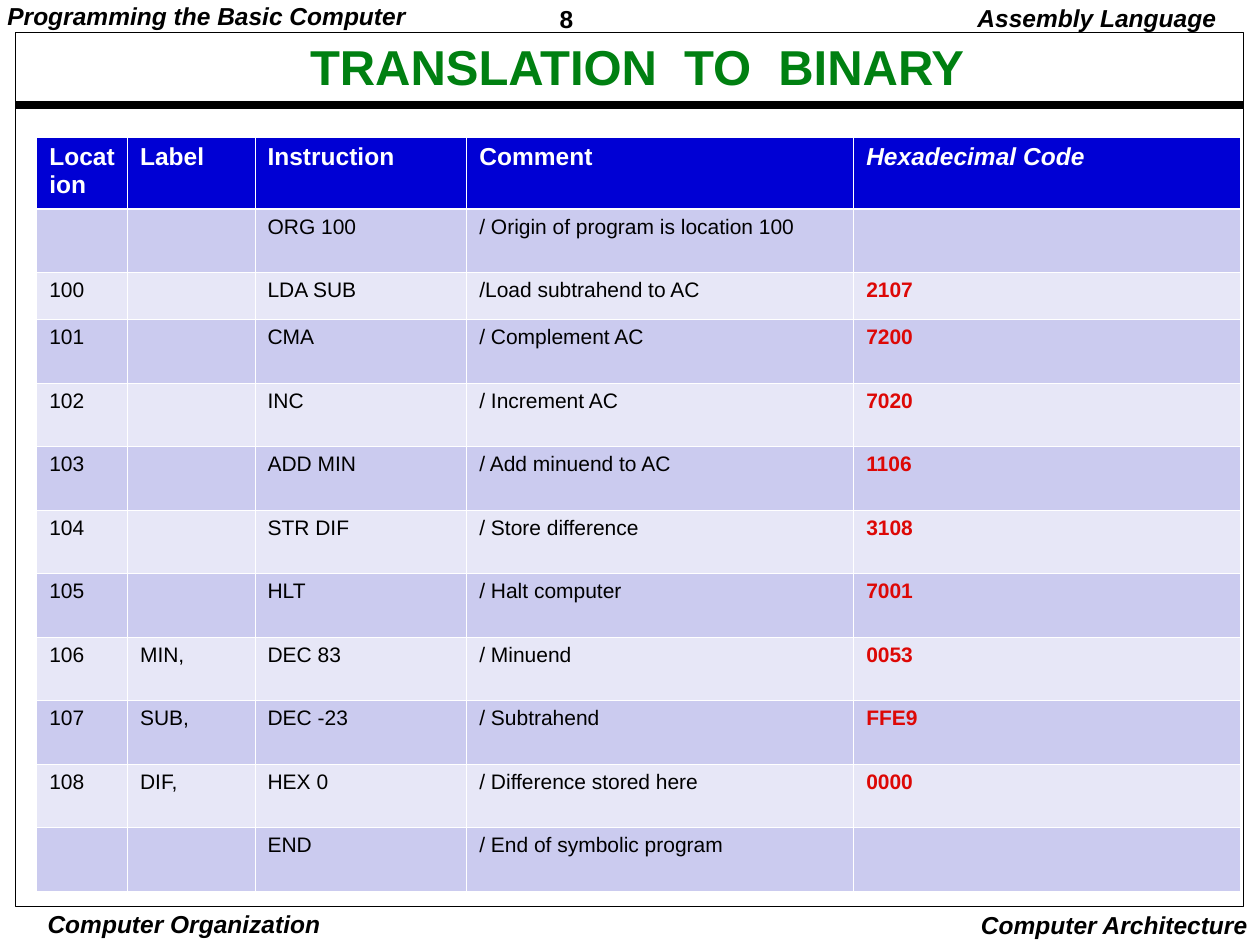
import lxml.etree
import pptx
import pptx.dml.color
import pptx.enum.shapes
import pptx.enum.text
import pptx.oxml.ns
import pptx.util

Cm = pptx.util.Cm
Pt = pptx.util.Pt
RGBColor = pptx.dml.color.RGBColor
ALIGN = pptx.enum.text.PP_ALIGN
ANCHOR = pptx.enum.text.MSO_ANCHOR
qn = pptx.oxml.ns.qn

BLACK = RGBColor(0x00, 0x00, 0x00)
WHITE = RGBColor(0xFF, 0xFF, 0xFF)
GREEN = RGBColor(0x00, 0x80, 0x11)
RED = RGBColor(0xDD, 0x08, 0x06)
BLUE = RGBColor(0x00, 0x00, 0xD4)
LILAC = RGBColor(0xCB, 0xCB, 0xEF)
PALE_LILAC = RGBColor(0xE7, 0xE7, 0xF7)

FONT = "Arial"
THIN_BORDER = 0.45
THICK_BORDER = 1.47
COLUMN_WIDTHS = [1.83, 2.57, 4.27, 7.8, 7.8]
ROW_HEIGHTS = [1.44, 1.28, 0.95] + [1.28] * 9
HEADINGS = ["Location", "Label", "Instruction", "Comment", "Hexadecimal Code"]
PROGRAM = [
    ("", "", "ORG 100", "/ Origin of program is location 100", ""),
    ("100", "", "LDA SUB", "/Load subtrahend to AC", "2107"),
    ("101", "", "CMA", "/ Complement AC", "7200"),
    ("102", "", "INC", "/ Increment AC", "7020"),
    ("103", "", "ADD MIN", "/ Add minuend to AC", "1106"),
    ("104", "", "STR DIF", "/ Store difference", "3108"),
    ("105", "", "HLT", "/ Halt computer", "7001"),
    ("106", "MIN,", "DEC 83", "/ Minuend", "0053"),
    ("107", "SUB,", "DEC -23", "/ Subtrahend", "FFE9"),
    ("108", "DIF,", "HEX 0", "/ Difference stored here", "0000"),
    ("", "", "END", "/ End of symbolic program", ""),
]


def write(frame, text, size=14, color=BLACK, bold=True, italic=False,
          align=ALIGN.LEFT, spacing=1.0):
    paragraph = frame.paragraphs[0]
    paragraph.alignment = align
    paragraph.line_spacing = spacing
    if not text:
        lxml.etree.SubElement(paragraph._p, qn("a:endParaRPr"), sz=str(size * 100))
        return
    run = paragraph.add_run()
    run.text = text
    run.font.name = FONT
    run.font.size = Pt(size)
    run.font.bold = bold
    run.font.italic = italic
    run.font.color.rgb = color


def add_label(slide, text, left, top, width, height, inset=(0.18, 0.08, 0.18),
              anchor=ANCHOR.TOP, **style):
    label = slide.shapes.add_textbox(Cm(left), Cm(top), Cm(width), Cm(height))
    frame = label.text_frame
    frame.word_wrap = True
    frame.vertical_anchor = anchor
    inset_left, inset_top, inset_right = inset
    frame.margin_left, frame.margin_right = Cm(inset_left), Cm(inset_right)
    frame.margin_top = frame.margin_bottom = Cm(inset_top)
    write(frame, text, **style)


def add_footer(slide, left, top, width):
    add_label(slide, "Computer Organization", left + 0.69, top + 0.08, 6.04, 0.66,
              inset=(0.08, 0.03, 0.08), italic=True, align=ALIGN.CENTER)
    add_label(slide, "Computer Architecture", left + width - 5.89, top, 5.89, 0.84,
              inset=(0.1, 0.13, 0.25), italic=True, align=ALIGN.RIGHT)


def add_page_frame(slide, left, top, width, height):
    rule_top = Cm(top + 1.45)
    rule = slide.shapes.add_connector(
        pptx.enum.shapes.MSO_CONNECTOR.STRAIGHT,
        Cm(left), rule_top, Cm(left + width), rule_top)
    rule.line.color.rgb = BLACK
    rule.line.width = Pt(4.5)
    lxml.etree.SubElement(rule._element.spPr, qn("a:effectLst"))

    border = slide.shapes.add_shape(
        pptx.enum.shapes.MSO_SHAPE.RECTANGLE,
        Cm(left), Cm(top), Cm(width), Cm(height))
    border.shadow.inherit = False
    border.fill.background()
    border.line.color.rgb = BLACK
    border.line.width = Pt(0.5)

    add_label(slide, "TRANSLATION  TO  BINARY", left + 1.82, top + 0.15, 21.41, 1.17,
              inset=(0.25, 0.13, 0.25), anchor=ANCHOR.MIDDLE, size=28, color=GREEN,
              align=ALIGN.CENTER, spacing=0.9)


def add_header(slide, left, top, width):
    add_label(slide, "8", left + 11.1, top, 2.74, 0.74, spacing=1.01)
    add_label(slide, "Assembly Language", left + width - 7.54, top, 7.19, 0.79,
              inset=(0.25, 0.13, 0.53), italic=True, align=ALIGN.RIGHT, spacing=0.9)
    add_label(slide, "Programming the Basic Computer", left - 0.03, top, 8.8, 0.69,
              italic=True, spacing=0.9)


def add_border(cell, side, weight):
    edge = lxml.etree.SubElement(
        cell._tc.get_or_add_tcPr(), qn("a:ln" + side), w=str(int(Pt(weight))))
    fill = lxml.etree.SubElement(edge, qn("a:solidFill"))
    lxml.etree.SubElement(fill, qn("a:srgbClr"), val=str(WHITE))


def format_cell(cell, text, row, column):
    is_heading = row == 0
    is_code = column == len(HEADINGS) - 1
    for side in "LRTB":
        below_heading = (row, side) in ((0, "B"), (1, "T"))
        add_border(cell, side, THICK_BORDER if below_heading else THIN_BORDER)
    cell.fill.solid()
    if is_heading:
        cell.fill.fore_color.rgb = BLUE
        write(cell.text_frame, text, color=WHITE, italic=is_code)
    else:
        cell.fill.fore_color.rgb = LILAC if row % 2 else PALE_LILAC
        write(cell.text_frame, text, size=12, color=RED if is_code else BLACK,
              bold=is_code)


def add_program_table(slide, left, top):
    rows = [HEADINGS, *PROGRAM]
    program = slide.shapes.add_table(
        len(rows), len(HEADINGS), Cm(left), Cm(top),
        Cm(sum(COLUMN_WIDTHS)), Cm(sum(ROW_HEIGHTS))).table
    for column, width in zip(program.columns, COLUMN_WIDTHS):
        column.width = Cm(width)
    for row, height in zip(program.rows, ROW_HEIGHTS):
        row.height = Cm(height)
    for row, texts in enumerate(rows):
        for column, text in enumerate(texts):
            format_cell(program.cell(row, column), text, row, column)


def main():
    presentation = pptx.Presentation()
    presentation.slide_width = Cm(25.4)
    presentation.slide_height = Cm(19.05)
    slide = presentation.slides.add_slide(presentation.slide_layouts[6])
    add_footer(slide, 0, 18.21, 25.4)
    add_page_frame(slide, 0.32, 0.66, 24.74, 17.62)
    add_header(slide, 0, 0, 25.4)
    add_program_table(slide, 0.74, 2.77)
    presentation.save("out.pptx")


if __name__ == "__main__":
    main()
